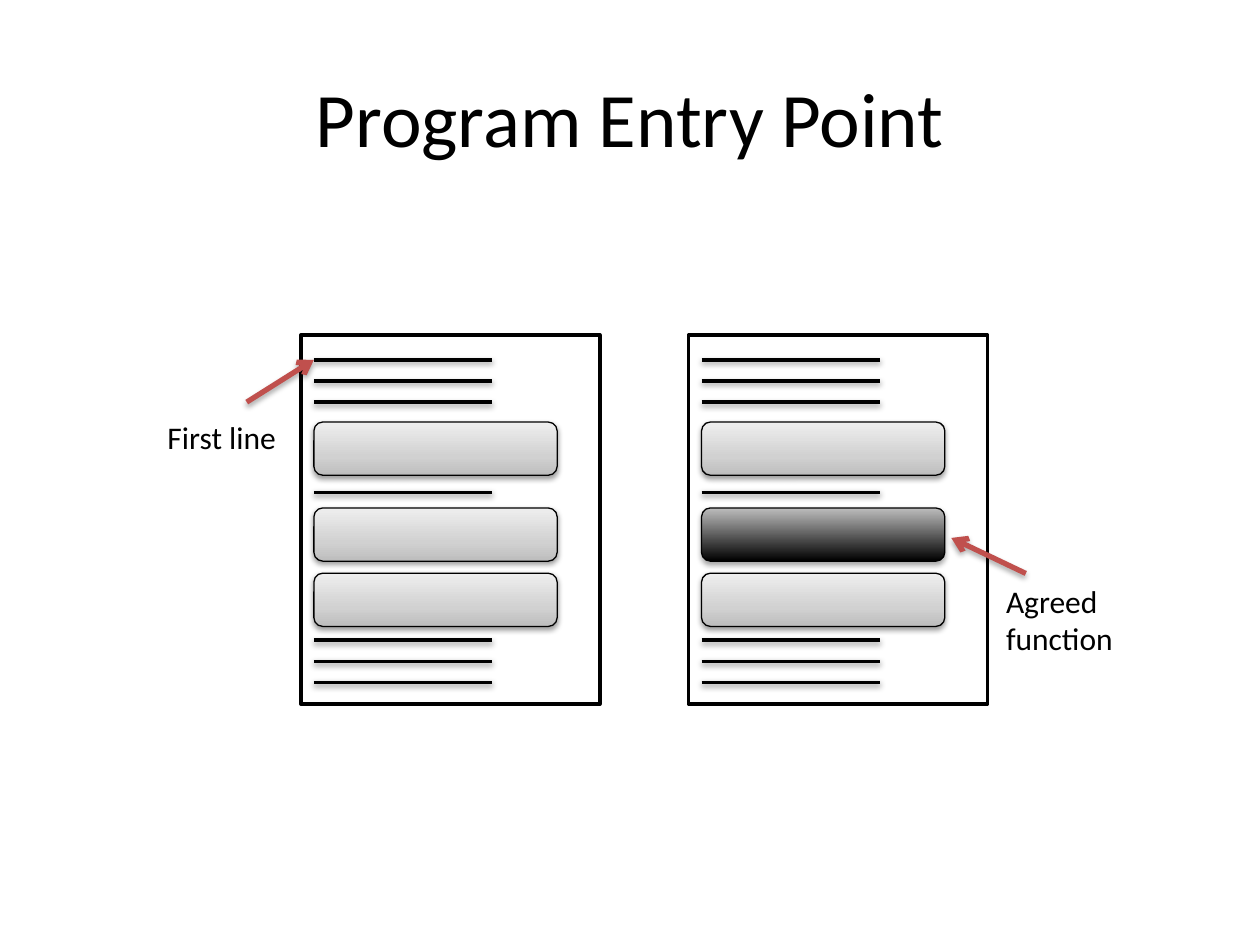
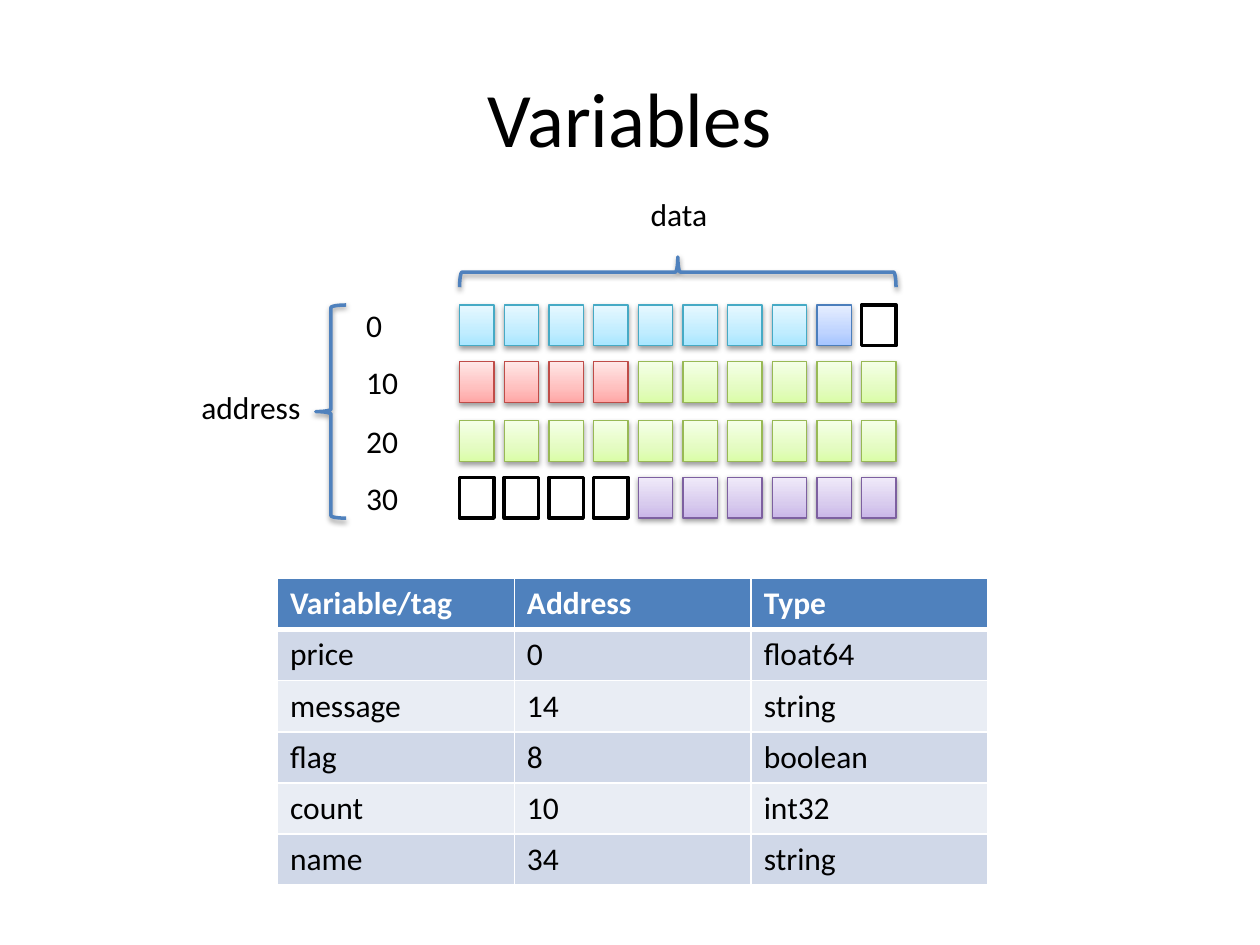
from dataclasses import dataclass

from lxml.etree import SubElement
from pptx import Presentation
from pptx.dml.color import RGBColor
from pptx.enum.shapes import MSO_CONNECTOR, MSO_SHAPE
from pptx.enum.text import MSO_ANCHOR, MSO_AUTO_SIZE, PP_ALIGN
from pptx.oxml.ns import qn
from pptx.util import Pt


@dataclass(frozen=True)
class Theme:
    font: str = "Calibri"
    title: int = 44
    body: int = 18
    black: str = "000000"
    white: str = "FFFFFF"
    blue: str = "4F81BD"
    red: str = "C0504D"
    bands: tuple = ("D0D8E8", "E9EDF4")
    thin: float = 0.75
    medium: float = 2
    thick: float = 3
    soft: tuple = (38, 1.57)
    strong: tuple = (35, 1.81)
    blur: float = 3.15


T = Theme()

GREY = ((0, "BDBDBD"), (35, "D1D1D1"), (100, "EEEEEE"))
DARK = ((0, "000000"), (100, "BDBDBD"))

MEMORY_STYLES = {
    "price": (((0, "A7E6FF"), (35, "C1EDFF"), (100, "E7F8FF")), "46AAC5"),
    "flag": (((0, "A4C4FF"), (35, "BFD4FF"), (100, "E6EEFF")), "4B7EBC"),
    "count": (((0, "FFA6A5"), (35, "FFC0BF"), (100, "FFE7E7")), "BF4C48"),
    "message": (((0, "DAFDA7"), (35, "E4FCC2"), (100, "F5FFE7")), "98B955"),
    "name": (((0, "C9B5E8"), (35, "D8CBEE"), (100, "F0EAF9")), "7D60A0"),
}

MEMORY_ROWS = [
    ("0", 0, ["price"] * 8 + ["flag", "free"]),
    ("10", 32.3, ["count"] * 4 + ["message"] * 6),
    ("20", 66.2, ["message"] * 10),
    ("30", 98.5, ["free"] * 4 + ["name"] * 6),
]

VARIABLES = [
    ("Variable/tag", "Address", "Type"),
    ("price", "0", "float64"),
    ("message", "14", "string"),
    ("flag", "8", "boolean"),
    ("count", "10", "int32"),
    ("name", "34", "string"),
]


def rgb(color):
    return RGBColor.from_string(color)


def add_run(p, text, size=T.body, color=T.black, bold=False):
    r = p.add_run()
    r.text = text
    r.font.name, r.font.size, r.font.bold = T.font, Pt(size), bold
    r.font.color.rgb = rgb(color)


def add_color(parent, color):
    return SubElement(parent, qn("a:srgbClr"), val=color)


def add_shadow(shape, shadow):
    spPr = shape._element.spPr
    effects = spPr.find(qn("a:effectLst"))
    if effects is None:
        effects = SubElement(spPr, qn("a:effectLst"))
    if shadow:
        alpha, dist = shadow
        outer = SubElement(effects, qn("a:outerShdw"), blurRad=str(Pt(T.blur)),
                           dist=str(Pt(dist)), dir="5400000", rotWithShape="0")
        SubElement(add_color(outer, T.black), qn("a:alpha"), val=str(alpha * 1000))


def fill_gradient(shape, stops):
    shape.fill.gradient()
    shape.fill.gradient_angle = 90
    gs_list = shape._element.spPr.find(".//" + qn("a:gsLst"))
    gs_list.clear()
    for pos, color in stops:
        add_color(SubElement(gs_list, qn("a:gs"), pos=str(pos * 1000)), color)


def add_box(shapes, kind, x, y, w, h, fill=None, line=T.black, width=T.medium, shadow=None):
    sp = shapes.add_shape(kind, Pt(x), Pt(y), Pt(w), Pt(h))
    if fill is None:
        sp.fill.background()
    elif isinstance(fill, str):
        sp.fill.solid()
        sp.fill.fore_color.rgb = rgb(fill)
    else:
        fill_gradient(sp, fill)
    sp.line.color.rgb = rgb(line)
    sp.line.width = Pt(width)
    sp.shadow.inherit = False
    add_shadow(sp, shadow)
    return sp


def add_line(shapes, x1, y1, x2, y2, color=T.black, width=T.medium, shadow=T.soft, arrow=False):
    cx = shapes.add_connector(MSO_CONNECTOR.STRAIGHT, Pt(x1), Pt(y1), Pt(x2), Pt(y2))
    cx.line.color.rgb = rgb(color)
    cx.line.width = Pt(width)
    if arrow:
        SubElement(cx.line._get_or_add_ln(), qn("a:tailEnd"), type="arrow")
    add_shadow(cx, shadow)


def add_label(s, x, y, w, h, *lines, wrap=True):
    tf = s.shapes.add_textbox(Pt(x), Pt(y), Pt(w), Pt(h)).text_frame
    tf.word_wrap = wrap
    tf.auto_size = MSO_AUTO_SIZE.SHAPE_TO_FIT_TEXT
    for i, text in enumerate(lines):
        add_run(tf.add_paragraph() if i else tf.paragraphs[0], text)


def add_title(s, text):
    tf = s.shapes.add_textbox(Pt(36), Pt(21.6), Pt(648), Pt(90)).text_frame
    tf.word_wrap = True
    tf.vertical_anchor = MSO_ANCHOR.MIDDLE
    p = tf.paragraphs[0]
    p.alignment = PP_ALIGN.CENTER
    add_run(p, text, T.title)


def add_source_file(s, x, y, w, h, entry=None):
    shapes = s.shapes.add_group_shape().shapes
    add_box(shapes, MSO_SHAPE.RECTANGLE, x, y, w, h, T.white)
    left, pitch = x + 7.5, 12.1
    statements = [first + i * pitch for first in (14.2, 174.4) for i in range(3)]
    for dy in statements + [90]:
        add_line(shapes, left, y + dy, left + 102, y + dy)
    for i, dy in enumerate((49.8, 98.9, 136.2)):
        is_entry = i == entry
        add_box(shapes, MSO_SHAPE.ROUNDED_RECTANGLE, left, y + dy, 139, 30.4,
                DARK if is_entry else GREY, width=T.thin,
                shadow=T.strong if is_entry else T.soft)


def add_pointer(s, x1, y1, x2, y2):
    add_line(s.shapes, x1, y1, x2, y2, T.red, T.thick, T.strong, arrow=True)


def add_memory(s, x, y, w, h):
    cell_w, cell_h = 19.7, 23.3
    pitch = (w - cell_w) / 9
    for address, dy, cells in MEMORY_ROWS:
        shapes = s.shapes.add_group_shape().shapes
        for i, tag in enumerate(cells):
            box = (MSO_SHAPE.RECTANGLE, x + i * pitch, y + dy, cell_w, cell_h)
            if tag == "free":
                add_box(shapes, *box, T.white)
            else:
                add_box(shapes, *box, *MEMORY_STYLES[tag], T.thin, T.soft)
        add_label(s, x - 60.4, y + dy - 2.9, 44.6, 29.1, address)

    depth = 17.3
    brace = {"line": T.blue, "shadow": T.soft}
    add_box(s.shapes, MSO_SHAPE.LEFT_BRACE, x - 82.1, y, depth, h, **brace)
    top = add_box(s.shapes, MSO_SHAPE.LEFT_BRACE, x + (w - depth) / 2,
                  y - 18.8 - w / 2, depth, w, **brace)
    top.rotation = 90
    add_label(s, x - 154.6, y + 43.9, 72.7, 29.1, "address")
    add_label(s, x + w / 2 - 22.6, y - 66.2, 46.8, 29.1, "data")


def set_borders(cell, bottom):
    tcPr = cell._tc.get_or_add_tcPr()
    for side in ("L", "R", "T", "B"):
        width = bottom if side == "B" else 1
        ln = SubElement(tcPr, qn("a:ln" + side), w=str(Pt(width)))
        add_color(SubElement(ln, qn("a:solidFill")), T.white)


def add_variable_table(s, x, y, w, h):
    n_rows, n_cols = len(VARIABLES), len(VARIABLES[0])
    table = s.shapes.add_table(n_rows, n_cols, Pt(x), Pt(y), Pt(w), Pt(h)).table
    for column in table.columns:
        column.width = Pt(w / n_cols)
    for i, values in enumerate(VARIABLES):
        table.rows[i].height = Pt(h / n_rows)
        header = i == 0
        for j, text in enumerate(values):
            cell = table.cell(i, j)
            set_borders(cell, T.thick if header else 1)
            cell.fill.solid()
            cell.fill.fore_color.rgb = rgb(T.blue if header else T.bands[(i - 1) % 2])
            add_run(cell.text_frame.paragraphs[0], text,
                    color=T.white if header else T.black, bold=header)


def entry_point_slide(s):
    add_title(s, "Program Entry Point")
    add_source_file(s, 171.9, 191.4, 170.9, 211)
    add_source_file(s, 393.4, 191.4, 170.9, 211, entry=1)
    add_pointer(s, 141, 229.8, 179.4, 205.6)
    add_label(s, 88.6, 235.6, 77.8, 29.1, "First line", wrap=False)
    add_pointer(s, 586.2, 327.7, 543.6, 307.4)
    add_label(s, 567.8, 328.8, 76.3, 50.9, "Agreed", "function", wrap=False)


def variables_slide(s):
    add_title(s, "Variables")
    add_variable_table(s, 158.6, 330.6, 406, 175.2)
    add_memory(s, 262.6, 174.3, 249.4, 121.8)


def main():
    prs = Presentation()
    prs.slide_width, prs.slide_height = Pt(720), Pt(540)
    for build in (entry_point_slide, variables_slide):
        build(prs.slides.add_slide(prs.slide_layouts[6]))
    prs.save("out.pptx")


if __name__ == "__main__":
    main()
